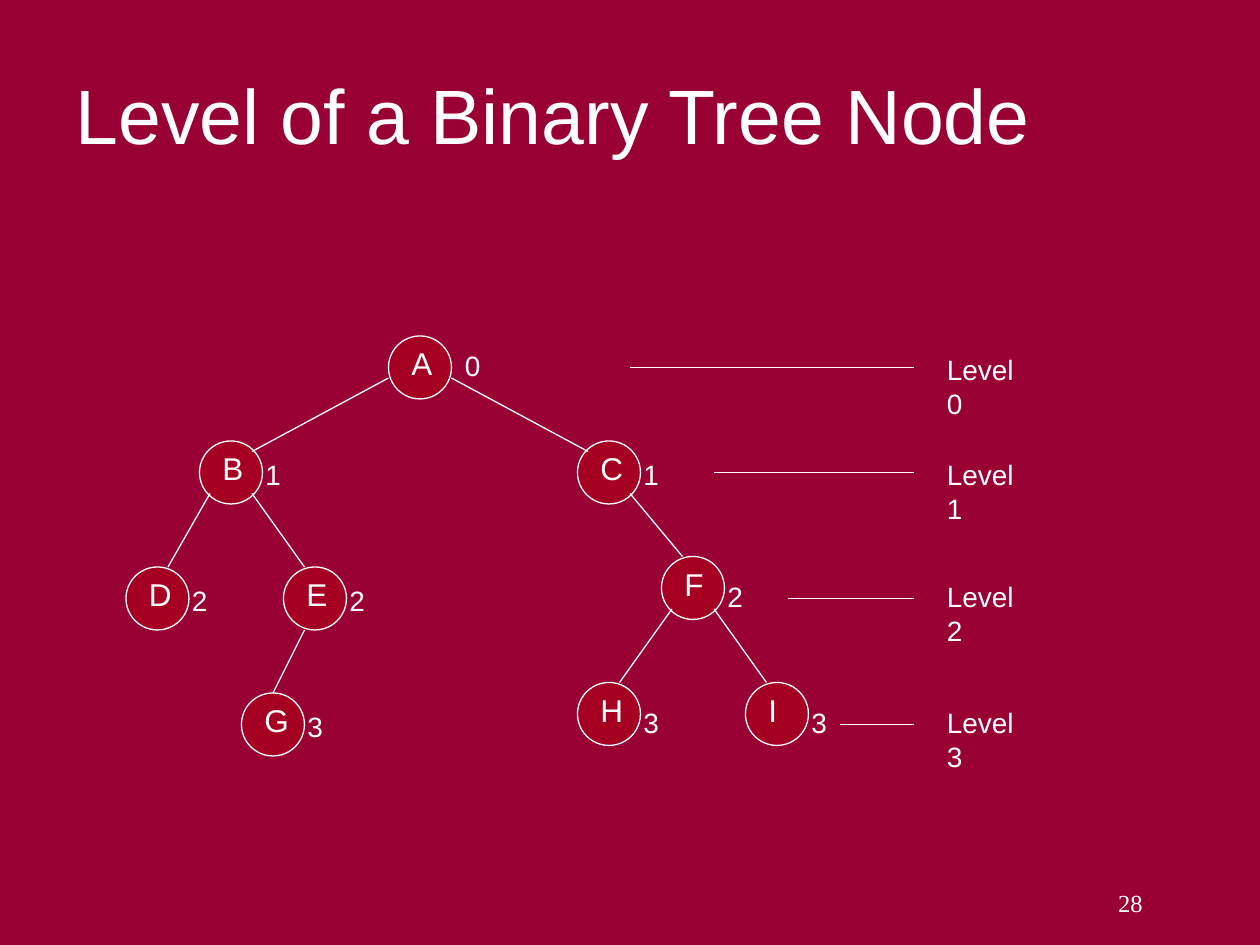
from pptx import Presentation
from pptx.dml.color import RGBColor
from pptx.enum.shapes import MSO_CONNECTOR, MSO_SHAPE
from pptx.enum.text import MSO_ANCHOR, MSO_AUTO_SIZE, PP_ALIGN
from pptx.util import Cm, Pt
from lxml import etree

LEFT, RIGHT = PP_ALIGN.LEFT, PP_ALIGN.RIGHT
MIDDLE = MSO_ANCHOR.MIDDLE
NO_FIT, GROW = MSO_AUTO_SIZE.NONE, MSO_AUTO_SIZE.SHAPE_TO_FIT_TEXT
ELLIPSE, STRAIGHT = MSO_SHAPE.OVAL, MSO_CONNECTOR.STRAIGHT
DRAWING = "http://schemas.openxmlformats.org/drawingml/2006/main"
TITLE_ONLY = 5

COLORS = {"background": "990033", "node": "A50021", "white": "FFFFFF"}

# Content: places are in grid units, twelve to the inch
GRID = 2.54 / 12
NODE_SIZE = 6
TITLE = "Level of a Binary Tree Node"
SLIDE_NUMBER = "28"

# name: left, top, letter width, level, offset of the level number
NODES = {
    "A": (37, 32, 4, 0, (6.1, 0.6)),
    "B": (19, 42, 4, 1, (5.1, 1)),
    "C": (55, 42, 4, 1, (5.1, 1)),
    "D": (12, 54, 5, 2, (5.1, 1)),
    "E": (27, 54, 4, 2, (5.1, 1)),
    "F": (63, 53, 4, 2, (5.1, 1.6)),
    "G": (23, 66, 5, 3, (5.1, 1)),
    "H": (55, 65, 4, 3, (5.1, 1.6)),
    "I": (71, 65, 5, 3, (5.1, 1.6)),
}

# parent, child, start within the parent, end within the child
EDGES = [
    ("A", "B", (0, 4), (5, 1)),
    ("A", "C", (6, 4), (1, 1)),
    ("B", "D", (1, 5), (4, 0)),
    ("B", "E", (5, 5), (2, 0)),
    ("E", "G", (2, 6), (3, 0)),
    ("C", "F", (5, 5), (2, 0)),
    ("F", "H", (1, 5), (4, 0)),
    ("F", "I", (5, 5), (2, 0)),
]

# line start, line height, label top
LEVELS = [(60, 35, 33), (68, 45, 43), (75, 57, 54.6), (80, 69, 66.6)]
LEVEL_LINE_END, LEVEL_LABEL_LEFT = 87, 89


def grid(*values):
    return [Cm(value * GRID) for value in values]


def color(name):
    return RGBColor.from_string(COLORS[name])


def write(frame, text, size, font="Arial", align=LEFT):
    paragraph = frame.paragraphs[0]
    paragraph.alignment = align
    run = paragraph.add_run()
    run.text = text
    run.font.name = font
    run.font.size = Pt(size)
    run.font.color.rgb = color("white")


def add_text(slide, text, place, size, wrap=False, fit=GROW, **style):
    frame = slide.shapes.add_textbox(*grid(*place)).text_frame
    frame.word_wrap = wrap
    frame.auto_size = fit
    write(frame, text, size, **style)


def add_line(slide, start, end):
    line = slide.shapes.add_connector(STRAIGHT, *grid(*start, *end))
    line.line.color.rgb = color("white")
    line.line.width = Pt(0.75)
    etree.SubElement(line._element.spPr, f"{{{DRAWING}}}effectLst")


def add_node(slide, name):
    left, top, letter_width, level, (dx, dy) = NODES[name]
    circle = slide.shapes.add_shape(ELLIPSE, *grid(left, top, NODE_SIZE, NODE_SIZE))
    circle.shadow.inherit = False
    circle.fill.solid()
    circle.fill.fore_color.rgb = color("node")
    circle.line.color.rgb = color("white")
    circle.line.width = Pt(0.75)
    add_text(slide, name, (left + 1, top + 0.2, letter_width, 4.8), 18, wrap=True)
    add_text(slide, str(level), (left + dx, top + dy, 3.84, 4.44), 16)


def main():
    presentation = Presentation()
    presentation.slide_width, presentation.slide_height = Cm(25.4), Cm(19.05)
    slide = presentation.slides.add_slide(presentation.slide_layouts[TITLE_ONLY])
    slide.background.fill.solid()
    slide.background.fill.fore_color.rgb = color("background")

    # Title and slide number
    title = slide.shapes.title
    title.left, title.top, title.width, title.height = grid(6, 4.8, 108, 12)
    title.text_frame.vertical_anchor = MIDDLE
    title.text_frame.auto_size = NO_FIT
    write(title.text_frame, TITLE, 44)
    add_text(slide, SLIDE_NUMBER, (85, 84, 25, 6), 14, wrap=True, fit=NO_FIT,
             font="Times New Roman", align=RIGHT)

    # Tree
    for name in NODES:
        add_node(slide, name)
    for parent, child, start, end in EDGES:
        add_line(slide,
                 [a + b for a, b in zip(NODES[parent][:2], start)],
                 [a + b for a, b in zip(NODES[child][:2], end)])

    # Level markers
    for level, (start, height, label_top) in enumerate(LEVELS):
        add_line(slide, (start, height), (LEVEL_LINE_END, height))
        add_text(slide, f"Level {level}", (LEVEL_LABEL_LEFT, label_top, 10.92, 4.44), 16)

    presentation.save("out.pptx")


if __name__ == "__main__":
    main()
